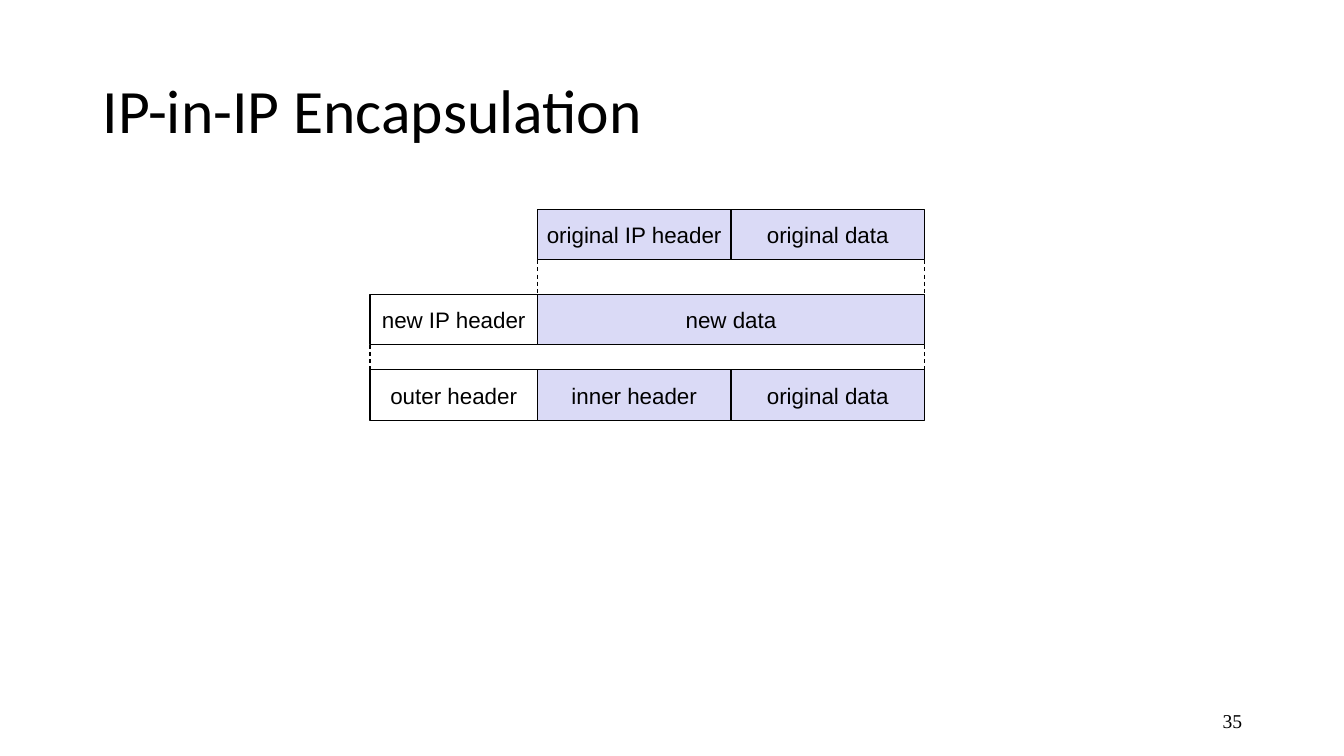
import pptx
import pptx.dml.color
import pptx.enum.dml
import pptx.enum.shapes
import pptx.enum.text
import pptx.oxml
import pptx.util

Inches = pptx.util.Inches
Pt = pptx.util.Pt
ALIGN = pptx.enum.text.PP_ALIGN
COLORS = {"ink": "000000", "inner": "DADAF6", "outer": "FFFFFF"}


def rgb(name):
    return pptx.dml.color.RGBColor.from_string(COLORS[name])


def write(frame, text, font, size, align):
    frame.vertical_anchor = pptx.enum.text.MSO_ANCHOR.MIDDLE
    paragraph = frame.paragraphs[0]
    paragraph.alignment = align
    run = paragraph.add_run()
    run.text = text
    run.font.name = font
    run.font.size = Pt(size)
    run.font.color.rgb = rgb("ink")
    return paragraph


deck = pptx.Presentation()
deck.slide_width = Inches(13.33)
deck.slide_height = Inches(7.5)
slide = deck.slides.add_slide(deck.slide_layouts[6])

page_number = slide.shapes.add_textbox(Inches(9.42), Inches(6.95), Inches(3), Inches(0.4)).text_frame
page_number.word_wrap = True
write(page_number, "35", "Times New Roman", 14, ALIGN.RIGHT)

title = slide.shapes.add_textbox(Inches(0.92), Inches(0.4), Inches(11.5), Inches(1.45)).text_frame
title.word_wrap = True
write(title, "IP-in-IP Encapsulation", "Calibri", 44, ALIGN.LEFT).line_spacing = 0.9

outer_left, inner_left, data_left, packet_right = 3.67, 5.33, 7.25, 9.17
field_height = 0.5
packets = [
    (2.08, [("original IP header", inner_left, data_left, "inner"),
            ("original data", data_left, packet_right, "inner")]),
    (2.92, [("new IP header", outer_left, inner_left, "outer"),
            ("new data", inner_left, packet_right, "inner")]),
    (3.67, [("outer header", outer_left, inner_left, "outer"),
            ("inner header", inner_left, data_left, "inner"),
            ("original data", data_left, packet_right, "inner")]),
]
for top, fields in packets:
    for label, left, right, fill in fields:
        field = slide.shapes.add_shape(
            pptx.enum.shapes.MSO_SHAPE.RECTANGLE,
            Inches(left), Inches(top), Inches(right - left), Inches(field_height))
        field.shadow.inherit = False
        field.fill.solid()
        field.fill.fore_color.rgb = rgb(fill)
        field.line.color.rgb = rgb("ink")
        field.line.width = Pt(0.75)
        field.text_frame.word_wrap = False
        write(field.text_frame, label, "Arial", 16, ALIGN.CENTER)

for left_edge, top, bottom in [(inner_left, 2.58, 2.92), (outer_left, 3.42, 3.75)]:
    for edge in (left_edge, packet_right):
        guide = slide.shapes.add_connector(
            pptx.enum.shapes.MSO_CONNECTOR.STRAIGHT,
            Inches(edge), Inches(top), Inches(edge), Inches(bottom))
        guide.line.color.rgb = rgb("ink")
        guide.line.width = Pt(0.75)
        guide.line.dash_style = pptx.enum.dml.MSO_LINE.DASH
        guide._element.spPr.append(pptx.oxml.parse_xml(
            '<a:effectLst xmlns:a="http://schemas.openxmlformats.org/drawingml/2006/main"/>'))

deck.save("out.pptx")
